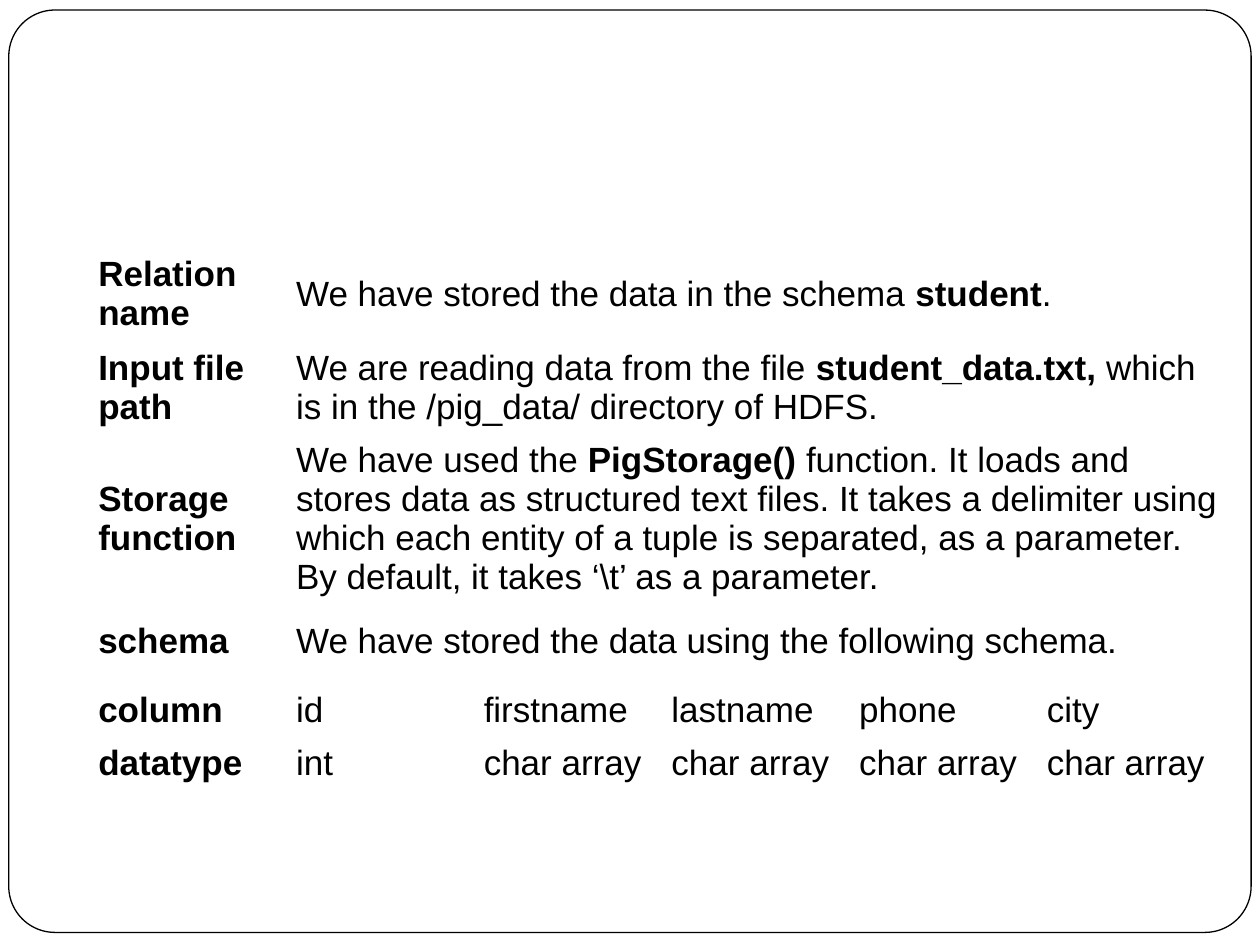
"""Build the slide that explains the parts of a Pig load statement."""
import dataclasses

import pptx
import pptx.dml.color
import pptx.enum.shapes
import pptx.enum.text
import pptx.slide
import pptx.table
import pptx.util

Inches = pptx.util.Inches


@dataclasses.dataclass
class Row:
    """A table row; each cell lists plain and bold parts in turn."""
    label: str
    height: float
    cells: list[list[str]]


ROWS = [
    Row("Relation name", 0.67,
        [["We have stored the data in the schema ", "student", "."]]),
    Row("Input file path", 0.81,
        [["We are reading data from the file ", "student_data.txt,",
          " which is in the /pig_data/ directory of HDFS."]]),
    Row("Storage function", 1.19,
        [["We have used the ", "PigStorage()",
          " function. It loads and stores data as structured text files. "
          "It takes a delimiter using which each entity of a tuple is "
          r"separated, as a parameter. By default, it takes ‘\t’ as a parameter."]]),
    Row("schema", 0.67,
        [["We have stored the data using the following schema."]]),
    Row("column", 0.42,
        [["id"], ["firstname"], ["lastname"], ["phone"], ["city"]]),
    Row("datatype", 0.42, [["int"]] + [["char array"]] * 4),
]
WIDTHS = [1.57] + [1.49] * 5


def color(code: str) -> pptx.dml.color.RGBColor:
    """Turn a hex string into a colour."""
    return pptx.dml.color.RGBColor.from_string(code)


def draw_frame(slide: pptx.slide.Slide) -> None:
    """Draw the rounded border around the slide."""
    frame = slide.shapes.add_shape(
        pptx.enum.shapes.MSO_SHAPE.ROUNDED_RECTANGLE,
        Inches(0.07), Inches(0.08), Inches(9.86), Inches(7.32))
    frame.adjustments[0] = 0.05
    frame.shadow.inherit = False
    frame.fill.solid()
    frame.fill.fore_color.rgb = color("FFFFFF")
    frame.line.color.rgb = color("000000")
    frame.line.width = pptx.util.Pt(0.75)


def fill_cell(cell: pptx.table._Cell, parts: list[str]) -> None:
    """Write the parts into a cell, with every second part bold."""
    cell.fill.background()
    cell.vertical_anchor = pptx.enum.text.MSO_ANCHOR.MIDDLE
    cell.margin_left = cell.margin_right = Inches(0.03)
    cell.margin_top = cell.margin_bottom = Inches(0.02)
    for index, part in enumerate(parts):
        if not part:
            continue
        run = cell.text_frame.paragraphs[0].add_run()
        run.text = part
        run.font.name = "Arial"
        run.font.size = pptx.util.Pt(20)
        run.font.bold = index % 2 == 1
        run.font.color.rgb = color("000000")


def draw_table(slide: pptx.slide.Slide, rows: list[Row]) -> None:
    """Draw the table, letting a lone cell span all value columns."""
    height = sum(row.height for row in rows)
    table = slide.shapes.add_table(
        len(rows), len(WIDTHS), Inches(0.75), Inches(2),
        Inches(sum(WIDTHS)), Inches(height)).table
    table.first_row = table.horz_banding = False
    for column, width in zip(table.columns, WIDTHS):
        column.width = Inches(width)
    for r, row in enumerate(rows):
        table.rows[r].height = Inches(row.height)
        if len(row.cells) == 1:
            table.cell(r, 1).merge(table.cell(r, len(WIDTHS) - 1))
        for c, parts in enumerate([["", row.label]] + row.cells):
            fill_cell(table.cell(r, c), parts)


def main() -> None:
    """Build and save the slide."""
    deck = pptx.Presentation()
    deck.slide_width, deck.slide_height = Inches(10), Inches(7.5)
    slide = deck.slides.add_slide(deck.slide_layouts[6])
    draw_frame(slide)
    draw_table(slide, ROWS)
    deck.save("out.pptx")


if __name__ == "__main__":
    main()
